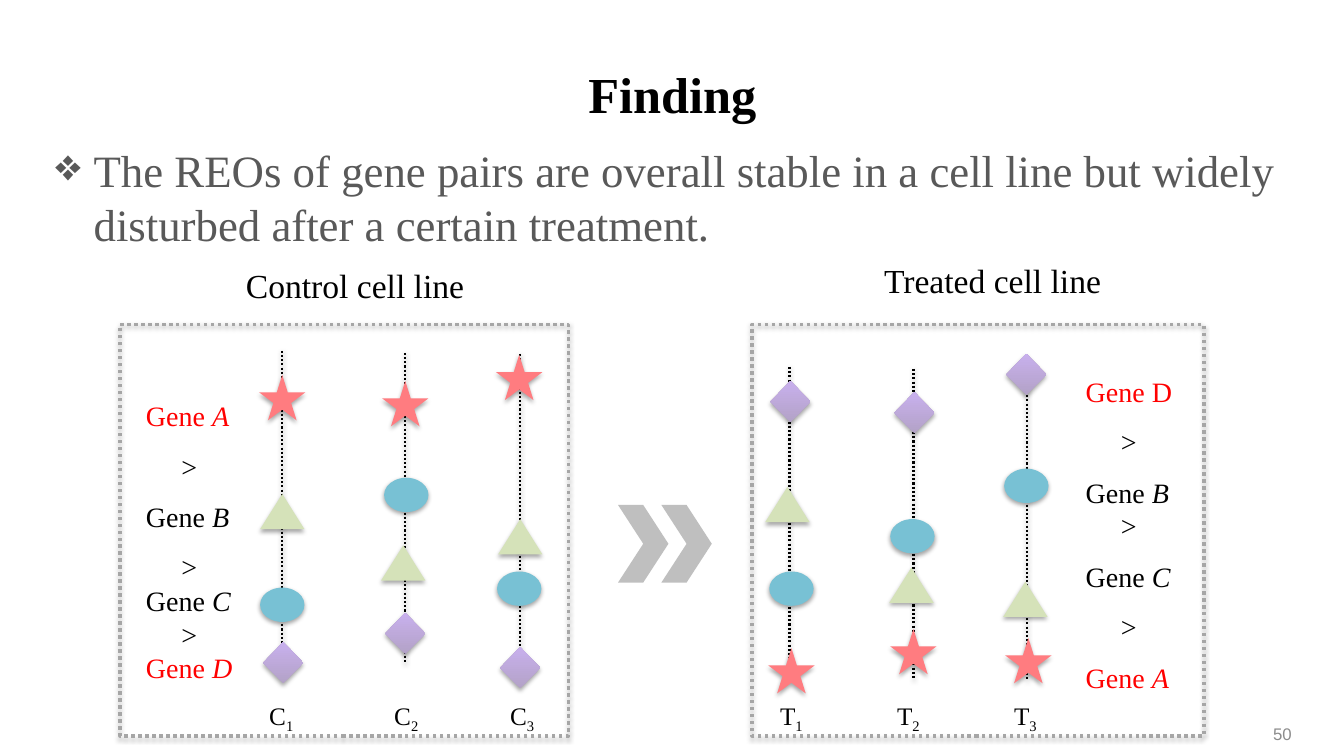
from dataclasses import dataclass

from lxml.etree import SubElement
from pptx import Presentation
from pptx.dml.color import RGBColor
from pptx.enum.dml import MSO_LINE_DASH_STYLE as Dash
from pptx.enum.shapes import MSO_CONNECTOR as Connector, MSO_SHAPE as Preset
from pptx.enum.text import MSO_ANCHOR as Anchor, PP_ALIGN as Align
from pptx.oxml.ns import qn
from pptx.util import Emu, Pt

PX = 9144
SERIF = "Times New Roman"
BLACK = RGBColor(0x00, 0x00, 0x00)
RED = RGBColor(0xFF, 0x00, 0x00)
BODY_GRAY = RGBColor(0x59, 0x59, 0x59)
NUMBER_GRAY = RGBColor(0x8C, 0x8C, 0x8C)
FRAME_GRAY = RGBColor(0xA6, 0xA6, 0xA6)
CHEVRON_GRAY = RGBColor(0xBF, 0xBF, 0xBF)
CORAL = RGBColor(0xFF, 0x7C, 0x80)
GREEN = RGBColor(0xD5, 0xE2, 0xB9)
TEAL = RGBColor(0x78, 0xC1, 0xD4)
DARK_VIOLET = RGBColor(0xB3, 0xA2, 0xC7)
LIGHT_VIOLET = RGBColor(0xC8, 0xB0, 0xED)


@dataclass(frozen=True)
class Marker:
    preset: Preset
    width: int
    height: int
    colors: tuple[RGBColor, ...]


@dataclass(frozen=True)
class Sample:
    letter: str
    number: int
    label_center: int
    axis_x: int
    axis_top: int
    star: tuple[int, int]
    triangle: tuple[int, int]
    ellipse: tuple[int, int]
    diamond: tuple[int, int]


@dataclass(frozen=True)
class GeneRow:
    gene: str = ""
    color: RGBColor = BLACK
    spacing: float = 1.5
    italic: bool = True


@dataclass(frozen=True)
class Panel:
    heading: str
    heading_place: tuple[int, int, int, int]
    frame_place: tuple[int, int, int, int]
    genes_place: tuple[int, int, int, int]
    genes: tuple[GeneRow, ...]
    samples: tuple[Sample, ...]


MARKERS = {
    "triangle": Marker(Preset.ISOSCELES_TRIANGLE, 44, 35, (GREEN,)),
    "ellipse": Marker(Preset.OVAL, 44, 34, (TEAL,)),
    "star": Marker(Preset.STAR_5_POINT, 46, 45, (CORAL,)),
    "diamond": Marker(Preset.DIAMOND, 40, 41, (DARK_VIOLET, LIGHT_VIOLET)),
}
PANELS = (
    Panel(
        "Control cell line", (234, 258, 282, 50), (119, 322, 445, 408), (135, 374, 123, 313),
        (GeneRow("A", RED), GeneRow(), GeneRow("B"), GeneRow(),
         GeneRow("C", spacing=1), GeneRow(spacing=1), GeneRow("D", RED, 1)),
        (Sample("C", 1, 279, 280, 348, (257, 372), (258, 490), (258, 583), (261, 637)),
         Sample("C", 2, 403, 402, 350, (379, 378), (378, 541), (381, 474), (382, 608)),
         Sample("C", 3, 518, 516, 351, (492, 352), (494, 515), (493, 567), (496, 642))),
    ),
    Panel(
        "Treated cell line", (867, 253, 304, 50), (746, 322, 448, 408), (1067, 350, 124, 347),
        (GeneRow("D", RED, italic=False), GeneRow(), GeneRow("B"), GeneRow(spacing=1),
         GeneRow("C"), GeneRow(), GeneRow("A", RED)),
        (Sample("T", 1, 785, 783, 364, (762, 643), (759, 483), (763, 567), (764, 378)),
         Sample("T", 2, 901, 906, 366, (883, 624), (882, 563), (883, 515), (887, 389)),
         Sample("T", 3, 1017, 1019, 367, (997, 633), (995, 577), (996, 465), (998, 351))),
    ),
)
AXIS_LENGTH = 308


def px(*lengths: int) -> list[Emu]:
    return [Emu(length * PX) for length in lengths]


def add_shadow(properties) -> None:
    effects = properties.find(qn("a:effectLst"))
    if effects is None:
        effects = SubElement(properties, qn("a:effectLst"))
    shadow = SubElement(effects, qn("a:outerShdw"), blurRad="40000", dist="23000",
                        dir="5400000", rotWithShape="0")
    color = SubElement(shadow, qn("a:srgbClr"), val="000000")
    SubElement(color, qn("a:alpha"), val="35000")


def add_box(page, place: tuple[int, int, int, int], anchor=Anchor.TOP):
    frame = page.shapes.add_textbox(*px(*place)).text_frame
    frame.word_wrap = True
    frame.vertical_anchor = anchor
    return frame


def add_span(para, text: str, *, size: int, color: RGBColor = BLACK, font: str = SERIF,
             bold: bool = False, italic: bool = False, subscript: bool = False) -> None:
    span = para.add_run()
    span.text = text
    span.font.name = font
    span.font.size = Pt(size)
    span.font.bold = bold
    span.font.italic = italic
    span.font.color.rgb = color
    if subscript:
        span.font._element.set("baseline", "-25000")


def set_indent(para, left: int, first: int = 0) -> None:
    properties = para._p.get_or_add_pPr()
    properties.set("marL", str(left * PX))
    properties.set("indent", str(first * PX))


def add_figure(page, preset: Preset, place: tuple[int, int, int, int],
               colors: tuple[RGBColor, ...] = (), shadow: bool = True):
    shape = page.shapes.add_shape(preset, *px(*place))
    if len(colors) == 2:
        shape.fill.gradient()
        shape.fill.gradient_angle = 90
        for stop, color in zip(shape.fill.gradient_stops, colors):
            stop.color.rgb = color
    elif colors:
        shape.fill.solid()
        shape.fill.fore_color.rgb = colors[0]
    else:
        shape.fill.background()
    shape.line.fill.background()
    shape.shadow.inherit = False
    if shadow:
        add_shadow(shape._element.spPr)
    return shape


def style_line(line, color: RGBColor, width: float) -> None:
    line.color.rgb = color
    line.width = Pt(width)
    line.dash_style = Dash.ROUND_DOT


def add_sample(page, sample: Sample) -> None:
    axis = page.shapes.add_connector(
        Connector.STRAIGHT,
        *px(sample.axis_x, sample.axis_top, sample.axis_x, sample.axis_top + AXIS_LENGTH))
    style_line(axis.line, BLACK, 1.5)
    add_shadow(axis._element.spPr)
    for name, marker in MARKERS.items():
        add_figure(page, marker.preset, (*getattr(sample, name), marker.width, marker.height),
                   marker.colors)
    para = add_box(page, (sample.label_center - 30, 690, 60, 40)).paragraphs[0]
    para.alignment = Align.CENTER
    add_span(para, sample.letter, size=18)
    add_span(para, str(sample.number), size=18, subscript=True)


def add_panel(page, panel: Panel) -> None:
    frame = add_figure(page, Preset.RECTANGLE, panel.frame_place)
    style_line(frame.line, FRAME_GRAY, 2.5)
    add_span(add_box(page, panel.heading_place).paragraphs[0], panel.heading, size=24)
    for sample in panel.samples:
        add_sample(page, sample)
    genes = add_box(page, panel.genes_place)
    for index, row in enumerate(panel.genes):
        para = genes.add_paragraph() if index else genes.paragraphs[0]
        para.line_spacing = float(row.spacing)
        if row.gene:
            add_span(para, "Gene ", size=20, color=row.color)
            add_span(para, row.gene, size=20, color=row.color, italic=row.italic)
        else:
            set_indent(para, 35)
            add_span(para, ">", size=20)


def main() -> None:
    deck = Presentation()
    deck.slide_width, deck.slide_height = px(1333, 750)
    page = deck.slides.add_slide(deck.slide_layouts[6])

    title = add_box(page, (67, 30, 1200, 125), Anchor.MIDDLE).paragraphs[0]
    title.alignment = Align.CENTER
    add_span(title, "Finding", size=36, bold=True)

    finding = add_box(page, (45, 137, 1241, 126)).paragraphs[0]
    set_indent(finding, 38, -38)
    SubElement(finding._p.get_or_add_pPr(), qn("a:buChar"), char="❖")
    add_span(finding, "The REOs of gene pairs are overall stable in a cell line but widely "
             "disturbed after a certain treatment.", size=32, color=BODY_GRAY)

    for panel in PANELS:
        add_panel(page, panel)
    for left in (613, 656):
        add_figure(page, Preset.CHEVRON, (left, 501, 50, 77), (CHEVRON_GRAY,), shadow=False)

    number = add_box(page, (956, 708, 335, 40), Anchor.MIDDLE).paragraphs[0]
    number.alignment = Align.RIGHT
    add_span(number, "50", size=12, color=NUMBER_GRAY, font="Arial")
    deck.save("out.pptx")


if __name__ == "__main__":
    main()
